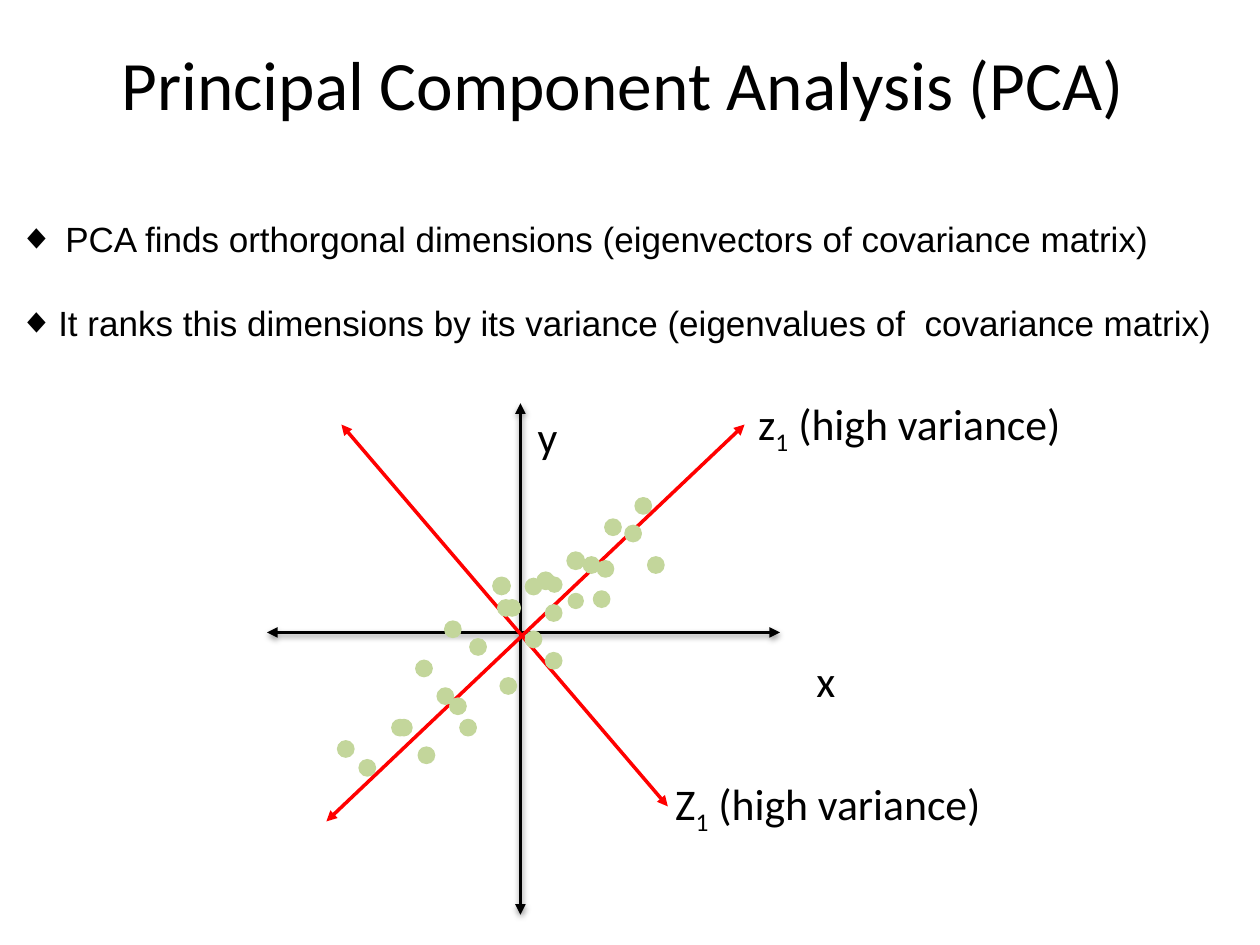
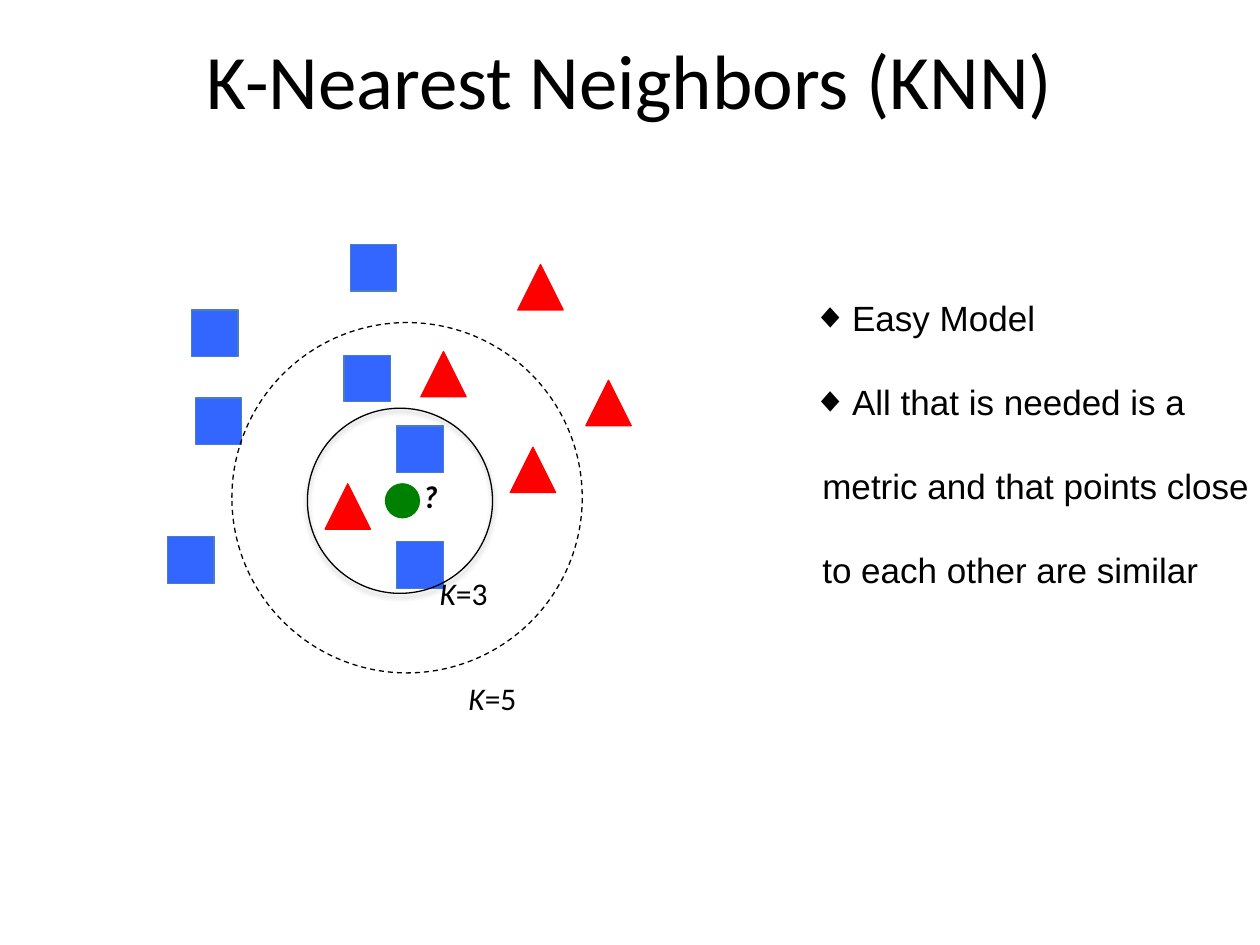
from dataclasses import dataclass
from typing import NamedTuple

from lxml.etree import SubElement
from pptx import Presentation
from pptx.dml.color import RGBColor
from pptx.enum.dml import MSO_LINE
from pptx.enum.shapes import MSO_CONNECTOR, MSO_SHAPE
from pptx.enum.text import MSO_ANCHOR, MSO_AUTO_SIZE, PP_ALIGN
from pptx.oxml.ns import qn
from pptx.util import Pt

# Shared look
BLACK = RGBColor(0x00, 0x00, 0x00)
RED = RGBColor(0xFF, 0x00, 0x00)
GREEN = RGBColor(0x00, 0x80, 0x00)
SAGE = RGBColor(0xC3, 0xD6, 0x9B)
BLUE = RGBColor(0x33, 0x66, 0xFF)
BLUE_EDGE = RGBColor(0x4B, 0x7E, 0xBC)
HEADING_FONT = "Calibri"
LIST_FONT = "Arial"
LIST_SIZE = 20
BULLET_INDENT = 22.5


class Box(NamedTuple):
    left: float
    top: float
    width: float
    height: float


class Shadow(NamedTuple):
    opacity: int
    blur: float
    distance: float


class Run(NamedTuple):
    text: str
    italic: bool = False
    subscript: bool = False


class Point(NamedTuple):
    text: str
    margin: float = BULLET_INDENT
    bulleted: bool = True


class Observation(NamedTuple):
    x: float
    y: float
    size: float = 9.4


@dataclass(frozen=True)
class Axis:
    start: tuple[float, float]
    end: tuple[float, float]
    color: RGBColor
    shadow: Shadow | None = None


@dataclass(frozen=True)
class Label:
    box: Box
    runs: tuple[Run, ...]
    size: float
    bold: bool = False


@dataclass(frozen=True)
class Marker:
    kind: MSO_SHAPE
    size: float
    fill: RGBColor | None
    edge: RGBColor
    dashed: bool = False
    shadow: Shadow | None = None


AXIS_SHADOW = Shadow(38, 3.1, 1.6)
RING_SHADOW = Shadow(35, 3.1, 1.8)

# PCA content
PCA_POINTS = [
    Point("PCA finds orthorgonal dimensions (eigenvectors of covariance matrix)", 26.5),
    Point("It ranks this dimensions by its variance (eigenvalues of  covariance matrix)"),
]
AXES = [
    Axis((297.4, 230.4), (297.4, 522.7), BLACK, AXIS_SHADOW),
    Axis((445.7, 361.4), (152.6, 361.4), BLACK, AXIS_SHADOW),
    Axis((425.5, 242.6), (186.5, 469.4), RED),
    Axis((195.1, 242.6), (381.6, 460.8), RED),
]
OBSERVATIONS = [Observation(*values) for values in (
    (286.6, 334.8, 10), (258.8, 359.6), (273.2, 369.7), (292.7, 347.4),
    (304.9, 365.4), (316.4, 377.6), (290.5, 392), (289.1, 347.4),
    (316.8, 334.1, 8.6), (261.7, 403.6), (228.6, 415.8), (267.5, 415.8),
    (242.3, 382), (230.8, 415.8), (197.6, 428), (254.5, 397.8),
    (243.7, 431.6), (209.9, 438.8), (374.8, 322.9), (367.6, 289.1),
    (338, 322.9), (304.9, 335.2), (361.8, 304.9), (343.8, 342.4),
    (329, 343.4, 8.6), (316.4, 350.3), (329, 320.4, 10), (346, 325.1),
    (350.3, 301.3), (311.8, 331.9, 10),
)]
VARIANCE = (Run("1", subscript=True), Run(" (high variance)"))
AXIS_LABELS = [
    Label(Box(300.2, 230.4, 25.9, 37.4), (Run("y"),), 25),
    Label(Box(459.4, 370.1, 25.2, 37.4), (Run("x"),), 25),
    Label(Box(426.2, 223.2, 195.1, 37.4), (Run("z"), *VARIANCE), 25),
    Label(Box(378.7, 440.6, 192.2, 37.4), (Run("Z"), *VARIANCE), 25),
]

# KNN content
KNN_POINTS = [
    Point("Easy Model"),
    Point("All that is needed is a"),
    Point("metric and that points close", 5.5, False),
    Point("to each other are similar", 5.5, False),
]
SQUARE = Marker(MSO_SHAPE.RECTANGLE, 26.6, BLUE, BLUE_EDGE)
TRIANGLE = Marker(MSO_SHAPE.ISOSCELES_TRIANGLE, 25.9, RED, RED)
QUERY = Marker(MSO_SHAPE.OVAL, 19.4, GREEN, GREEN)
RING_K3 = Marker(MSO_SHAPE.OVAL, 105.8, None, BLACK, shadow=RING_SHADOW)
RING_K5 = Marker(MSO_SHAPE.OVAL, 200.2, None, BLACK, dashed=True)
NEIGHBORS = [
    (SQUARE, [(196.6, 203), (226.8, 243.4), (226.8, 309.6), (200.2, 139.7),
              (109.4, 177.1), (95.8, 306.7), (111.6, 227.5)]),
    (TRIANGLE, [(240.5, 200.9), (185.8, 276.5), (295.9, 151.2),
                (291.6, 255.6), (334.8, 217.4)]),
    (QUERY, [(220.3, 276.5)]),
    (RING_K3, [(175.7, 233.3)]),
    (RING_K5, [(132.5, 184.3)]),
]
K = Run("K", italic=True)
RING_LABELS = [
    Label(Box(260.6, 384.5, 43.2, 28.8), (K, Run("=5")), 18),
    Label(Box(244.1, 324.7, 43.2, 28.8), (K, Run("=3")), 18),
    Label(Box(234.7, 269.3, 24.5, 28.8), (Run("?", italic=True),), 18, bold=True),
]


def style_font(font, name: str, size: float, bold: bool = False) -> None:
    font.name, font.size, font.bold = name, Pt(size), bold
    font.color.rgb = BLACK


def place(shape, box: Box) -> None:
    shape.left, shape.top, shape.width, shape.height = map(Pt, box)


def add_effects(shape, shadow: Shadow | None) -> None:
    """Write an effect list, empty unless a downward shadow is wanted."""
    effects = SubElement(shape.element.spPr, qn("a:effectLst"))
    if shadow:
        outer = SubElement(effects, qn("a:outerShdw"), blurRad=str(Pt(shadow.blur)),
                           dist=str(Pt(shadow.distance)), dir="5400000", rotWithShape="0")
        color = SubElement(outer, qn("a:srgbClr"), val=str(BLACK))
        SubElement(color, qn("a:alpha"), val=str(shadow.opacity * 1000))


def add_page(deck, heading: str, heading_box: Box, heading_size: float,
             points: list[Point], list_box: Box):
    slide = deck.slides.add_slide(deck.slide_layouts[1])

    # Title
    title = slide.shapes.title
    place(title, heading_box)
    title.text_frame.text = heading
    title.text_frame.vertical_anchor = MSO_ANCHOR.MIDDLE
    line = title.text_frame.paragraphs[0]
    line.alignment = PP_ALIGN.CENTER
    style_font(line.font, HEADING_FONT, heading_size)

    # Bulleted list
    body = slide.placeholders[1]
    place(body, list_box)
    frame = body.text_frame
    frame.word_wrap, frame.auto_size = True, MSO_AUTO_SIZE.NONE
    frame.margin_right = 0
    frame.text = "\n".join(point.text for point in points)
    for paragraph, point in zip(frame.paragraphs, points):
        paragraph.line_spacing = 2.0
        paragraph.space_before = Pt(0)
        properties = paragraph._p.get_or_add_pPr()
        properties.set("marL", str(Pt(point.margin)))
        properties.set("indent", str(-Pt(point.margin) if point.bulleted else 0))
        if point.bulleted:
            SubElement(properties, qn("a:buChar"), char="◆")
        else:
            SubElement(properties, qn("a:buNone"))
        style_font(paragraph.font, LIST_FONT, LIST_SIZE)
    return slide


def add_axis(slide, axis: Axis) -> None:
    arrow = slide.shapes.add_connector(
        MSO_CONNECTOR.STRAIGHT, *map(Pt, axis.start + axis.end))
    arrow.line.color.rgb = axis.color
    arrow.line.width = Pt(2)
    outline = arrow.line._get_or_add_ln()
    for tip in ("a:headEnd", "a:tailEnd"):
        SubElement(outline, qn(tip), type="triangle")
    add_effects(arrow, axis.shadow)


def add_marker(slide, marker: Marker, left: float, top: float) -> None:
    shape = slide.shapes.add_shape(
        marker.kind, *map(Pt, (left, top, marker.size, marker.size)))
    if marker.fill is None:
        shape.fill.background()
    else:
        shape.fill.solid()
        shape.fill.fore_color.rgb = marker.fill
    shape.line.color.rgb = marker.edge
    shape.line.width = Pt(0.75)
    if marker.dashed:
        shape.line.dash_style = MSO_LINE.DASH
    add_effects(shape, marker.shadow)


def add_label(slide, label: Label) -> None:
    frame = slide.shapes.add_textbox(*map(Pt, label.box)).text_frame
    frame.word_wrap = False
    paragraph = frame.paragraphs[0]
    style_font(paragraph.font, HEADING_FONT, label.size, label.bold)
    for part in label.runs:
        run = paragraph.add_run()
        run.text = part.text
        if part.italic:
            run.font.italic = True
        if part.subscript:
            run._r.get_or_add_rPr().set("baseline", "-25000")


def build_pca(deck) -> None:
    slide = add_page(deck, "Principal Component Analysis (PCA)", Box(32, 2.2, 648, 90),
                     39.6, PCA_POINTS, Box(3.6, 96.5, 716.4, 100))
    for axis in AXES:
        add_axis(slide, axis)
    for dot in OBSERVATIONS:
        marker = Marker(MSO_SHAPE.OVAL, dot.size, SAGE, SAGE)
        add_marker(slide, marker, dot.x - dot.size / 2, dot.y - dot.size / 2)
    for label in AXIS_LABELS:
        add_label(slide, label)


def build_knn(deck) -> None:
    slide = add_page(deck, "K-Nearest Neighbors (KNN)", Box(36, 0, 648, 90),
                     44, KNN_POINTS, Box(457.2, 141.8, 262.8, 342.7))
    for marker, corners in NEIGHBORS:
        for left, top in corners:
            add_marker(slide, marker, left, top)
    for label in RING_LABELS:
        add_label(slide, label)


def main() -> None:
    deck = Presentation()
    deck.slide_width, deck.slide_height = Pt(720), Pt(540)
    build_pca(deck)
    build_knn(deck)
    deck.save("out.pptx")


if __name__ == "__main__":
    main()
